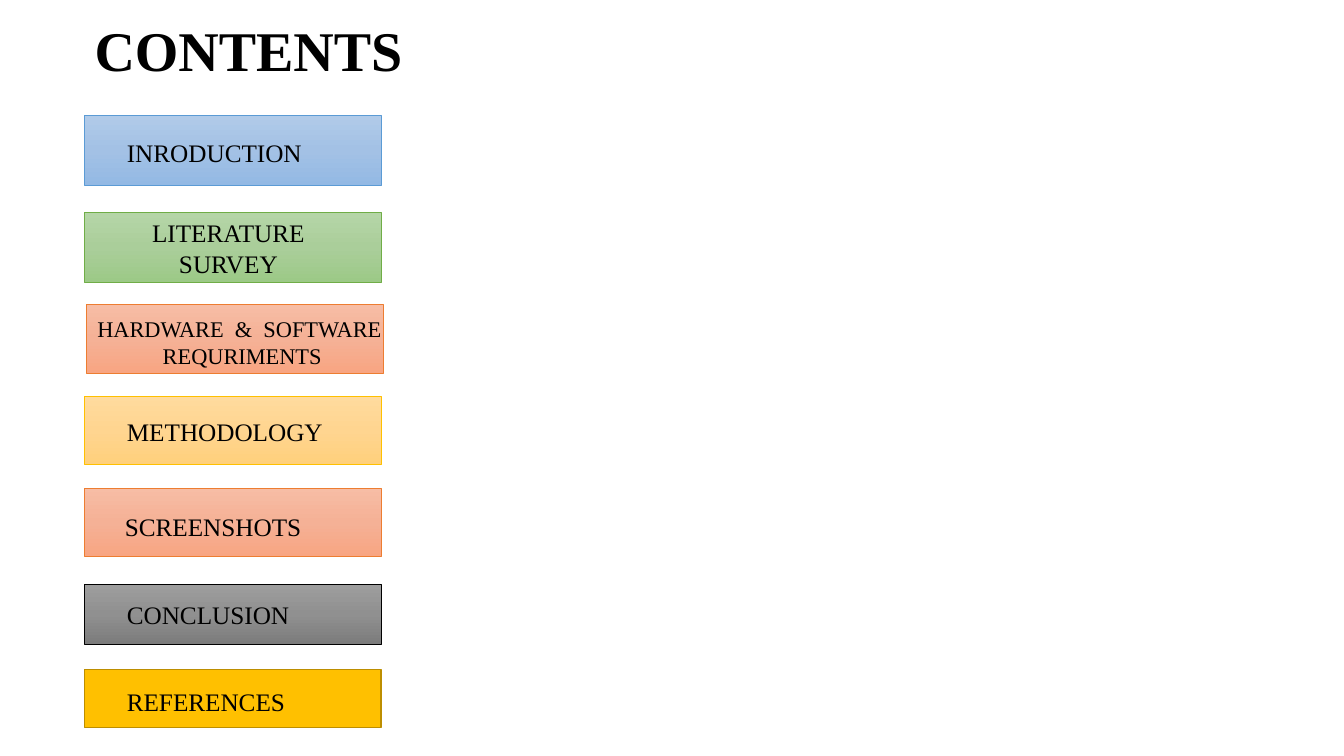
import copy

import pptx
import pptx.dml.color
import pptx.enum.shapes
import pptx.enum.text
import pptx.util

FONT = "Times New Roman"
LEFT, BAR_W = 0.84, 2.94
ALIGN = pptx.enum.text.PP_ALIGN

BLUE = ("B1CBE9", "A3C1E5", "93B9E4")
GREEN = ("B5D5A7", "AACE9A", "9CC987")
ORANGE = ("F7BDA5", "F5B196", "F8A582")
YELLOW = ("FFDB9E", "FFD590", "FFD07C")
GRAY = ("9D9D9D", "909090", "7C7C7C")
GOLD = ("FFC000",)

# Bar: left, top, height, fill, line colour, line width
# Label: text, left, top, width, height, size, alignment
ENTRIES = [
    ((LEFT, 1.14, 0.7, BLUE, "5B9BD5", 0.5),
     ("INRODUCTION", 1.16, 1.31, 2.96, 0.4, 18, ALIGN.LEFT)),
    ((LEFT, 2.11, 0.69, GREEN, "70AD47", 0.5),
     ("LITERATURE SURVEY", 1.24, 2.11, 2.05, 0.71, 18, ALIGN.CENTER)),
    ((0.86, 3.02, 0.68, ORANGE, "ED7D31", 0.5),
     ("HARDWARE  &  SOFTWARE  REQURIMENTS", LEFT, 3.08, 3.07, 0.64, 16, ALIGN.CENTER)),
    ((LEFT, 3.93, 0.68, YELLOW, "FFC000", 0.5),
     ("METHODOLOGY", 1.16, 4.08, 3.41, 0.4, 18, ALIGN.LEFT)),
    ((LEFT, 4.84, 0.68, ORANGE, "ED7D31", 0.5),
     ("SCREENSHOTS", 1.14, 5.02, 3.98, 0.4, 18, ALIGN.LEFT)),
    ((LEFT, 5.8, 0.59, GRAY, "000000", 0.5),
     ("CONCLUSION", 1.16, 5.9, 3.64, 0.4, 18, ALIGN.LEFT)),
    ((LEFT, 6.64, 0.58, GOLD, "BD8E00", 1),
     ("REFERENCES", 1.16, 6.76, 2.96, 0.4, 18, ALIGN.LEFT)),
]


def rgb(value):
    return pptx.dml.color.RGBColor.from_string(value)


def inches(*lengths):
    return [pptx.util.Inches(n) for n in lengths]


def set_fill(fill, colors):
    """One colour gives a solid fill, three give a top-to-bottom gradient."""
    if len(colors) == 1:
        fill.solid()
        fill.fore_color.rgb = rgb(colors[0])
        return
    fill.gradient()
    fill.gradient_angle = 270
    # The default gradient has two stops; add a middle one
    stops = fill._fill._gradFill.gsLst
    stops.insert(1, copy.deepcopy(stops[0]))
    for i, (stop, color) in enumerate(zip(fill.gradient_stops, colors)):
        stop.position = i / 2
        stop.color.rgb = rgb(color)


def add_bar(slide, left, top, height, colors, line, line_width):
    sp = slide.shapes.add_shape(pptx.enum.shapes.MSO_SHAPE.RECTANGLE,
                                *inches(left, top, BAR_W, height))
    sp.shadow.inherit = False
    set_fill(sp.fill, colors)
    sp.line.color.rgb = rgb(line)
    sp.line.width = pptx.util.Pt(line_width)


def add_label(slide, text, left, top, width, height, size, align, bold=False, wrap=True):
    tf = slide.shapes.add_textbox(*inches(left, top, width, height)).text_frame
    tf.word_wrap = wrap
    tf.auto_size = pptx.enum.text.MSO_AUTO_SIZE.SHAPE_TO_FIT_TEXT
    p = tf.paragraphs[0]
    p.text = text
    p.alignment = align
    p.font.name = FONT
    p.font.size = pptx.util.Pt(size)
    p.font.bold = bold
    p.font.color.rgb = rgb("000000")


def main():
    prs = pptx.Presentation()
    prs.slide_width, prs.slide_height = inches(13.33, 7.5)
    slide = prs.slides.add_slide(prs.slide_layouts[6])

    # Title
    add_label(slide, "CONTENTS", LEFT, 0.11, 3.43, 0.77, 40, ALIGN.LEFT,
              bold=True, wrap=False)

    # Agenda: a coloured bar under each label
    for bar, label in ENTRIES:
        add_bar(slide, *bar)
        add_label(slide, *label)

    prs.save("out.pptx")


if __name__ == "__main__":
    main()
